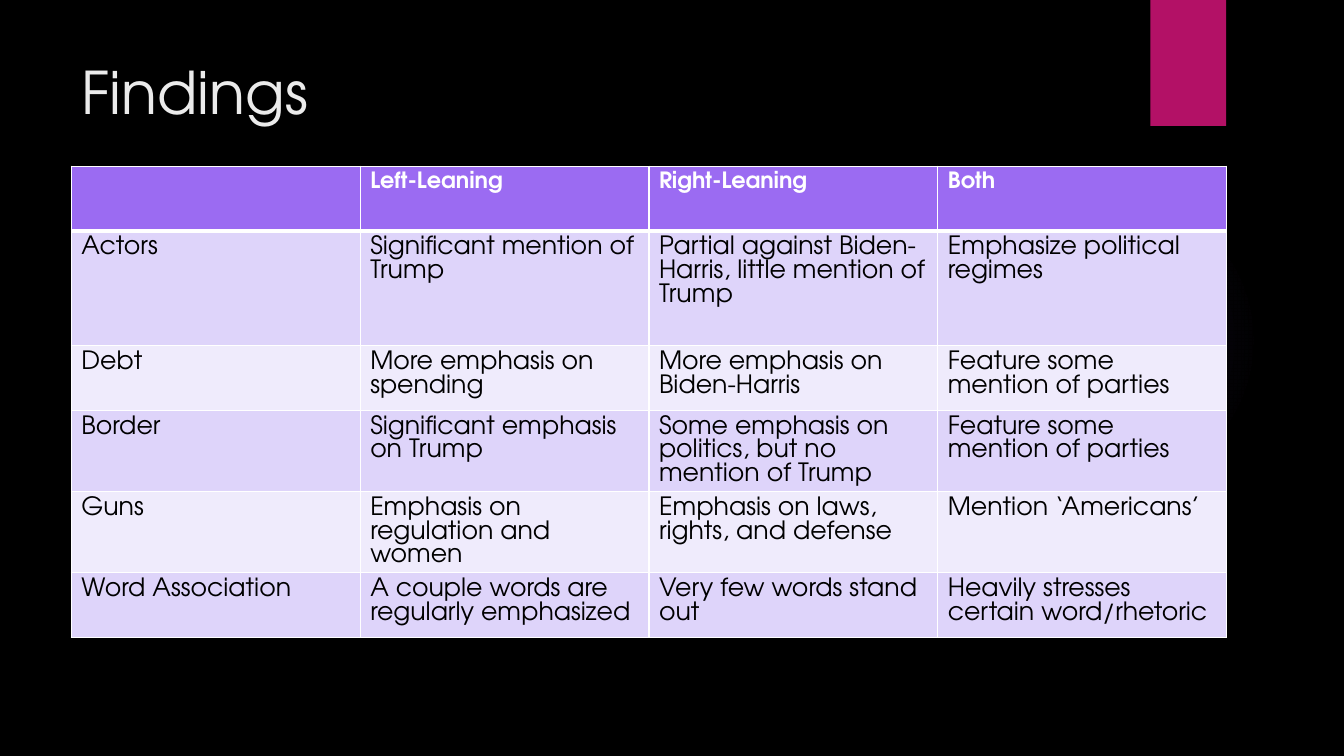
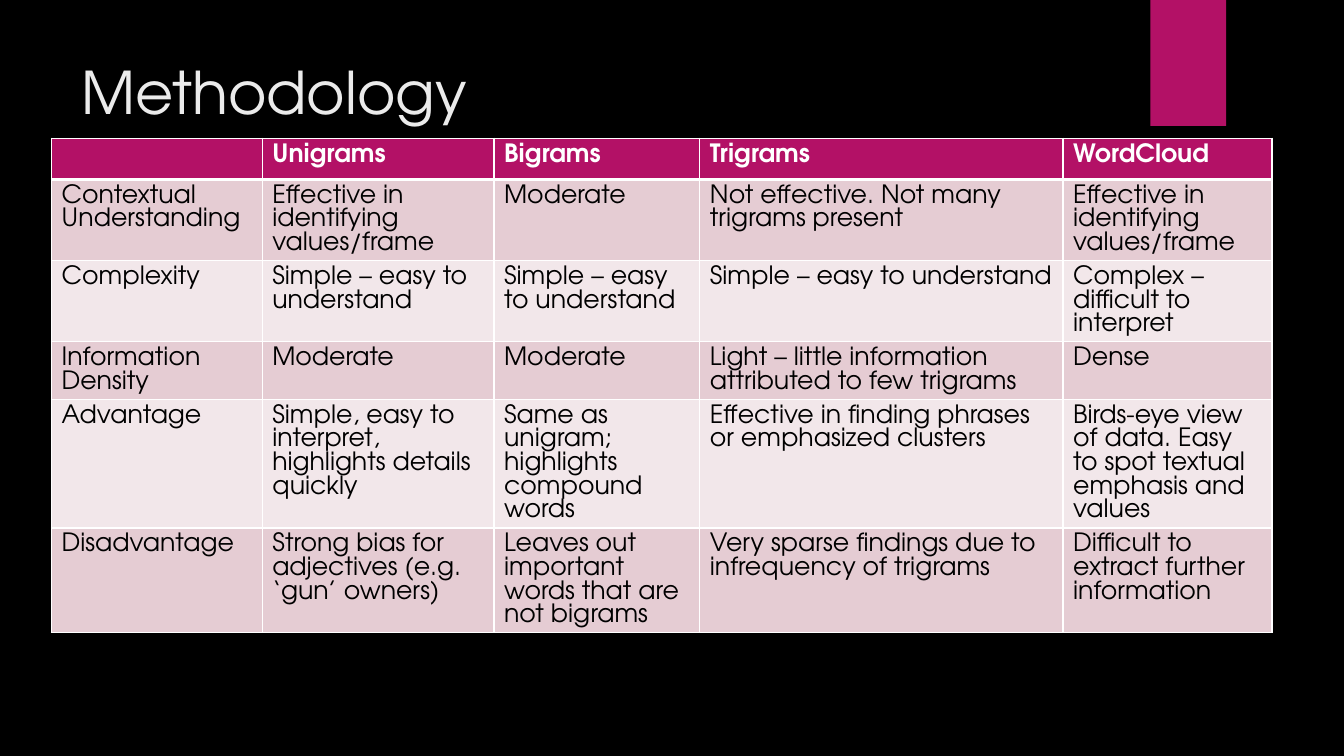
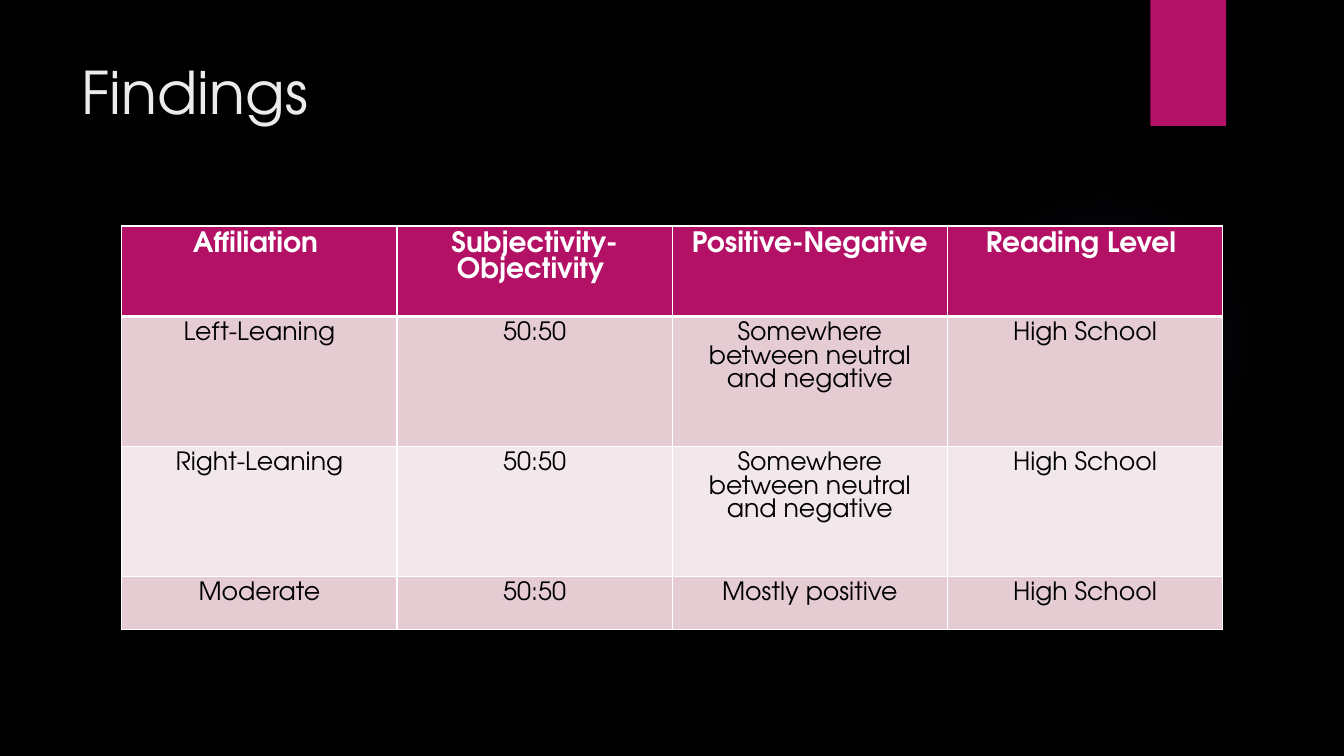
from lxml import etree
from pptx import Presentation
from pptx import util as u
from pptx.dml.color import RGBColor
from pptx.enum import shapes, text
from pptx.oxml.ns import qn

FONT = "TeX Gyre Adventor"
PURPLE = "9B6BF2"
MAGENTA = "B31166"
WHITE = "FFFFFF"
BLACK = "000000"
TITLE = "EBEBEB"
PURPLE_BANDS = ("DED4FA", "EFEBFC")
MAGENTA_BANDS = ("E5CCD3", "F2E7EA")
LINE_HEIGHT = 0.94
BODY_SIZE = 18


def paint(fill, color):
    fill.solid()
    fill.fore_color.rgb = RGBColor.from_string(color)


def add_element(parent, tag, **attributes):
    values = {name: str(value) for name, value in attributes.items()}
    return etree.SubElement(parent, qn(tag), values)


class Deck:
    def __init__(self):
        self.presentation = Presentation()
        self.presentation.slide_width = u.Pt(960)
        self.presentation.slide_height = u.Pt(540)
        paint(self.presentation.slide_master.background.fill, BLACK)
        self.slide = None

    def add_slide(self, title):
        layout = self.presentation.slide_layouts[5]
        self.slide = self.presentation.slides.add_slide(layout)
        self.add_glow()
        ribbon = self.add_shape(shapes.MSO_SHAPE.RECTANGLE, 821.8, 0, 54, 90)
        paint(ribbon.fill, MAGENTA)
        self.set_title(title)

    def add_shape(self, kind, *box):
        shape = self.slide.shapes.add_shape(kind, *map(u.Pt, box))
        shape.shadow.inherit = False
        shape.line.fill.background()
        return shape

    def add_glow(self):
        glow = self.add_shape(shapes.MSO_SHAPE.OVAL, 677.5, 131.8, 221.8, 221.8)
        properties = glow.element.spPr
        gradient = add_element(properties, "a:gradFill", rotWithShape=1)
        stops = add_element(gradient, "a:gsLst")
        for position, opacity in ((0, 7), (36, 6), (69, 0)):
            stop = add_element(stops, "a:gs", pos=position * 1000)
            color = add_element(stop, "a:srgbClr", val=PURPLE)
            add_element(color, "a:alpha", val=opacity * 1000)
        circle = add_element(gradient, "a:path", path="circle")
        add_element(circle, "a:fillToRect", l=50000, t=50000, r=50000, b=50000)
        properties.insert(2, gradient)

    def set_title(self, title):
        shape = self.slide.shapes.title
        shape.element.getparent().append(shape.element)
        shape.left, shape.top = u.Pt(51), u.Pt(36)
        shape.width, shape.height = u.Pt(741), u.Pt(110)
        frame = shape.text_frame
        frame.text = title
        frame.word_wrap = True
        frame.auto_size = text.MSO_AUTO_SIZE.NONE
        frame.vertical_anchor = text.MSO_ANCHOR.TOP
        paragraph = frame.paragraphs[0]
        paragraph.alignment = text.PP_ALIGN.LEFT
        self.set_font(paragraph, 42, TITLE)

    def set_font(self, paragraph, size, color, bold=False):
        font = paragraph.font
        font.name = FONT
        font.size = u.Pt(size)
        font.bold = bold
        font.color.rgb = RGBColor.from_string(color)

    def add_table(self, left, top, widths, heights, rows, header_color, bands,
                  header_size=BODY_SIZE, alignment=text.PP_ALIGN.LEFT):
        box = (left, top, sum(widths), sum(heights))
        frame = self.slide.shapes.add_table(len(rows), len(widths), *map(u.Pt, box))
        table = frame.table
        for column, width in zip(table.columns, widths):
            column.width = u.Pt(width)
        for index, (row, height) in enumerate(zip(table.rows, heights)):
            row.height = u.Pt(height)
            header = index == 0
            fill = header_color if header else bands[(index - 1) % 2]
            size = header_size if header else BODY_SIZE
            for cell, words in zip(row.cells, rows[index]):
                self.set_borders(cell, top=3 if index == 1 else 1, bottom=3 if header else 1)
                paint(cell.fill, fill)
                cell.text = words
                paragraph = cell.text_frame.paragraphs[0]
                paragraph.alignment = alignment
                paragraph.line_spacing = u.Pt(size * LINE_HEIGHT)
                self.set_font(paragraph, size, WHITE if header else BLACK, header)

    def set_borders(self, cell, top, bottom):
        properties = cell._tc.get_or_add_tcPr()
        for side, width in (("L", 1), ("R", 1), ("T", top), ("B", bottom)):
            line = add_element(properties, f"a:ln{side}", w=u.Pt(width))
            fill = add_element(line, "a:solidFill")
            add_element(fill, "a:srgbClr", val=WHITE)


def main():
    deck = Deck()

    deck.add_slide("Findings")
    deck.add_table(
        51, 118.8, [206.3] * 4, [46.1, 82.1, 46.1, 57.6, 57.6, 46.1],
        [
            ("", "Left-Leaning", "Right-Leaning", "Both"),
            ("Actors", "Significant mention of Trump",
             "Partial against Biden-Harris, little mention of Trump",
             "Emphasize political regimes"),
            ("Debt", "More emphasis on spending", "More emphasis on Biden-Harris",
             "Feature some mention of parties"),
            ("Border", "Significant emphasis on Trump",
             "Some emphasis on politics, but no mention of Trump",
             "Feature some mention of parties"),
            ("Guns", "Emphasis on regulation and women",
             "Emphasis on laws, rights, and defense", "Mention ‘Americans’"),
            ("Word Association", "A couple words are regularly emphasized",
             "Very few words stand out", "Heavily stresses certain word/rhetoric"),
        ],
        PURPLE, PURPLE_BANDS, header_size=16)

    deck.add_slide("Methodology")
    deck.add_table(
        36.8, 98.7, [150.5, 165.6, 147, 259.5, 149.2], [29.5, 58, 58, 40.8, 91.5, 74.4],
        [
            ("", "Unigrams", "Bigrams", "Trigrams", "WordCloud"),
            ("Contextual Understanding", "Effective in identifying values/frame",
             "Moderate", "Not effective. Not many trigrams present",
             "Effective in identifying values/frame"),
            ("Complexity", *["Simple – easy to understand"] * 3,
             "Complex – difficult to interpret"),
            ("Information Density", "Moderate", "Moderate",
             "Light – little information attributed to few trigrams", "Dense"),
            ("Advantage", "Simple, easy to interpret, highlights details quickly",
             "Same as unigram; highlights compound words",
             "Effective in finding phrases or emphasized clusters",
             "Birds-eye view of data. Easy to spot textual emphasis and values"),
            ("Disadvantage", "Strong bias for adjectives (e.g. ‘gun’ owners)",
             "Leaves out important words that are not bigrams",
             "Very sparse findings due to infrequency of trigrams",
             "Difficult to extract further information"),
        ],
        MAGENTA, MAGENTA_BANDS)

    deck.add_slide("Findings")
    neutral = "Somewhere between neutral and negative"
    deck.add_table(
        87, 161.5, [196.6] * 4, [64.6, 92.9, 92.9, 37.6],
        [
            ("Affiliation ", "Subjectivity-Objectivity ", "Positive-Negative", "Reading Level "),
            ("Left-Leaning", "50:50", neutral, "High School"),
            ("Right-Leaning", "50:50", neutral, "High School"),
            ("Moderate", "50:50", "Mostly positive", "High School"),
        ],
        MAGENTA, MAGENTA_BANDS, header_size=20, alignment=text.PP_ALIGN.CENTER)

    deck.presentation.save("out.pptx")


if __name__ == "__main__":
    main()
